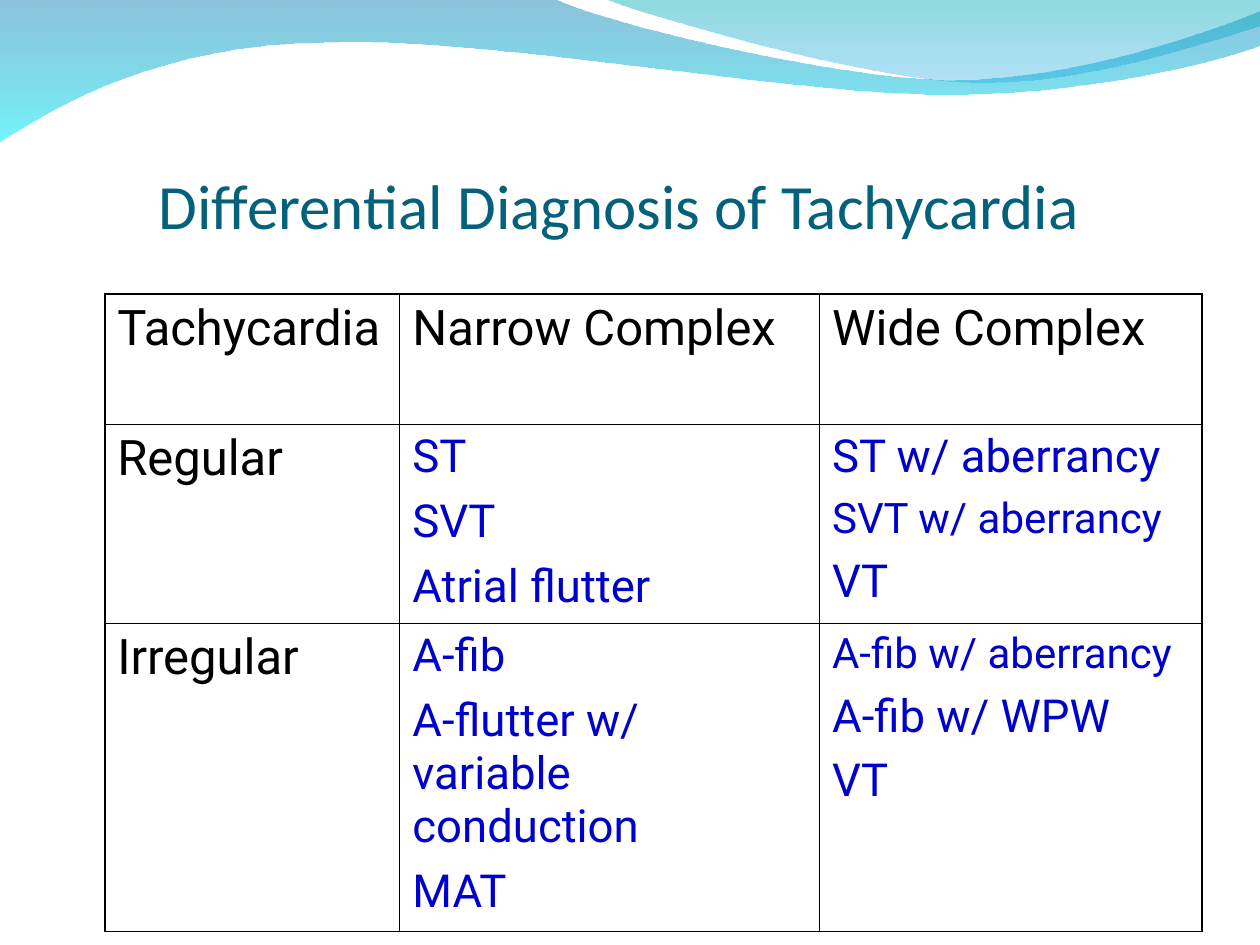
from lxml import etree
from pptx import Presentation
from pptx import util as u
from pptx.dml.color import RGBColor
from pptx.enum import text
from pptx.oxml.ns import qn

COLORS = {
    "title": "04617B", "label": "000000", "diagnosis": "0000CC", "border": "000000",
    "wave_top": "0079AF", "wave_bottom": "00EBF8",
    "crest_top": "00ADB6", "crest_bottom": "009BE5",
}
OUTER, INNER = 1.08, 0.45
COLUMNS, ROWS = (5.95, 8.46, 7.71), (2.63, 4.01, 6.22)
WAVE = [
    [(0.03, 0)], [(11.2, 0)],
    [(12.12, 0.46), (16.89, 1.63), (19.28, 1.63)],
    [(21.69, 1.63), (24.36, 0.69), (25.43, 0.25)],
    [(25.45, 0.94)],
    [(24.99, 1.14), (22.12, 1.96), (18.97, 1.93)],
    [(15.82, 1.93), (9.73, 0.74), (6.55, 0.89)],
    [(3.3, 0.91), (1.19, 2.13), (0, 2.9)],
]
CREST = [
    [(0, 0)],
    [(0.76, 0.3), (5.16, 1.6), (7.37, 1.68)],
    [(9.58, 1.78), (12.24, 0.84), (13.23, 0.56)],
    [(13.23, 0.03)],
]
DIAGNOSES = [
    [[("Tachycardia", 28)], [("Narrow Complex", 28)], [("Wide Complex", 28)]],
    [[("Regular", 28)],
     [("ST", 26), ("SVT", 26), ("Atrial flutter", 26)],
     [("ST w/ aberrancy", 26), ("SVT w/ aberrancy", 24), ("VT", 26)]],
    [[("Irregular", 28)],
     [("A-fib", 26), ("A-flutter w/ variable conduction", 26), ("MAT", 26)],
     [("A-fib w/ aberrancy", 24), ("A-fib w/ WPW", 26), ("VT", 26)]],
]


def set_all(target, values):
    """Set each attribute of the target from a dict of values."""
    for name, value in values.items():
        setattr(target, name, value)


def style_font(font, name, size, color):
    """Give a font its face, point size and colour."""
    set_all(font, {"name": name, "size": u.Pt(size)})
    font.color.rgb = RGBColor.from_string(COLORS[color])


def bend(wave, segments):
    """Turn each run of three lines that stands for a curve into a cubic."""
    lines = iter(list(wave._element.iter(qn("a:lnTo"))))
    for segment in segments[1:]:
        first, *others = [next(lines) for _ in segment]
        if others:
            curve = etree.Element(qn("a:cubicBezTo"))
            first.addprevious(curve)
            for line in (first, *others):
                curve.append(line[0])
                line.getparent().remove(line)


def add_wave(slide, left, top, segments, stops):
    """Draw a translucent gradient wave from its top left corner."""
    start, *rest = [(u.Cm(x), u.Cm(y)) for segment in segments for x, y in segment]
    builder = slide.shapes.build_freeform(*start)
    builder.add_line_segments(rest, close=True)
    wave = builder.convert_to_shape(u.Cm(left), u.Cm(top))
    bend(wave, segments)
    wave.shadow.inherit = False
    wave.line.fill.background()
    wave.fill.gradient()
    wave.fill.gradient_angle = 270
    for stop, (color, opacity) in zip(wave.fill.gradient_stops, stops):
        stop.color.rgb = RGBColor.from_string(COLORS[color])
    tints = wave._element.spPr.iter(qn("a:srgbClr"))
    for tint, (color, opacity) in zip(tints, stops):
        etree.SubElement(tint, qn("a:alpha"), val=str(opacity * 1000))


def place_title(slide, left, top, width, height):
    """Move and format the title placeholder."""
    title = slide.shapes.title
    set_all(title, {"left": u.Cm(left), "top": u.Cm(top),
                    "width": u.Cm(width), "height": u.Cm(height)})
    frame = title.text_frame
    frame.text = "Differential Diagnosis of Tachycardia"
    set_all(frame, {
        "margin_left": 0, "margin_top": u.Cm(0.13), "margin_right": 0, "margin_bottom": 0,
        "vertical_anchor": text.MSO_ANCHOR.BOTTOM, "word_wrap": True,
        "auto_size": text.MSO_AUTO_SIZE.NONE,
    })
    heading = frame.paragraphs[0]
    heading.alignment = text.PP_ALIGN.LEFT
    style_font(heading.font, "Calibri", 36, "title")


def add_borders(cell, row, column):
    """Rule a cell, with heavier lines on the outside of the table."""
    edges = {"L": column == 0, "R": column == len(COLUMNS) - 1,
             "T": row == 0, "B": row == len(ROWS) - 1}
    properties = cell._tc.get_or_add_tcPr()
    for side, outside in edges.items():
        width = u.Pt(OUTER if outside else INNER)
        border = etree.SubElement(properties, qn(f"a:ln{side}"), w=str(width))
        fill = etree.SubElement(border, qn("a:solidFill"))
        etree.SubElement(fill, qn("a:srgbClr"), val=COLORS["border"])


def fill_cell(cell, entries, color):
    """Write one paragraph per entry, spaced by a quarter of its size."""
    cell.margin_right = u.Cm(0.3)
    frame = cell.text_frame
    for index, (entry, size) in enumerate(entries):
        paragraph = frame.add_paragraph() if index else frame.paragraphs[0]
        paragraph.text = entry
        if index:
            paragraph.space_before = u.Pt(size / 4)
        style_font(paragraph.font, "Roboto", size, color)


def add_diagnosis_table(slide, left, top):
    """Add the table of diagnoses by rhythm and complex width."""
    table = slide.shapes.add_table(
        len(ROWS), len(COLUMNS), u.Cm(left), u.Cm(top),
        u.Cm(sum(COLUMNS)), u.Cm(sum(ROWS))).table
    set_all(table, {"first_row": False, "horz_banding": False})
    for column, width in zip(table.columns, COLUMNS):
        column.width = u.Cm(width)
    for row, height in zip(table.rows, ROWS):
        row.height = u.Cm(height)
    for r, rhythm in enumerate(DIAGNOSES):
        for c, entries in enumerate(rhythm):
            cell = table.cell(r, c)
            add_borders(cell, r, c)
            cell.fill.background()
            fill_cell(cell, entries, "diagnosis" if r and c else "label")


def main():
    """Build and save the slide."""
    deck = Presentation()
    set_all(deck, {"slide_width": u.Cm(25.4), "slide_height": u.Cm(19.05)})
    slide = deck.slides.add_slide(deck.slide_layouts[5])
    add_wave(slide, -0.03, -0.03, WAVE, [("wave_top", 45), ("wave_bottom", 55)])
    add_wave(slide, 12.17, -0.03, CREST, [("crest_top", 45), ("crest_bottom", 30)])
    place_title(slide, 3.2, 1.7, 21.64, 3.18)
    add_diagnosis_table(slide, 2.11, 5.92)
    deck.save("out.pptx")


if __name__ == "__main__":
    main()
